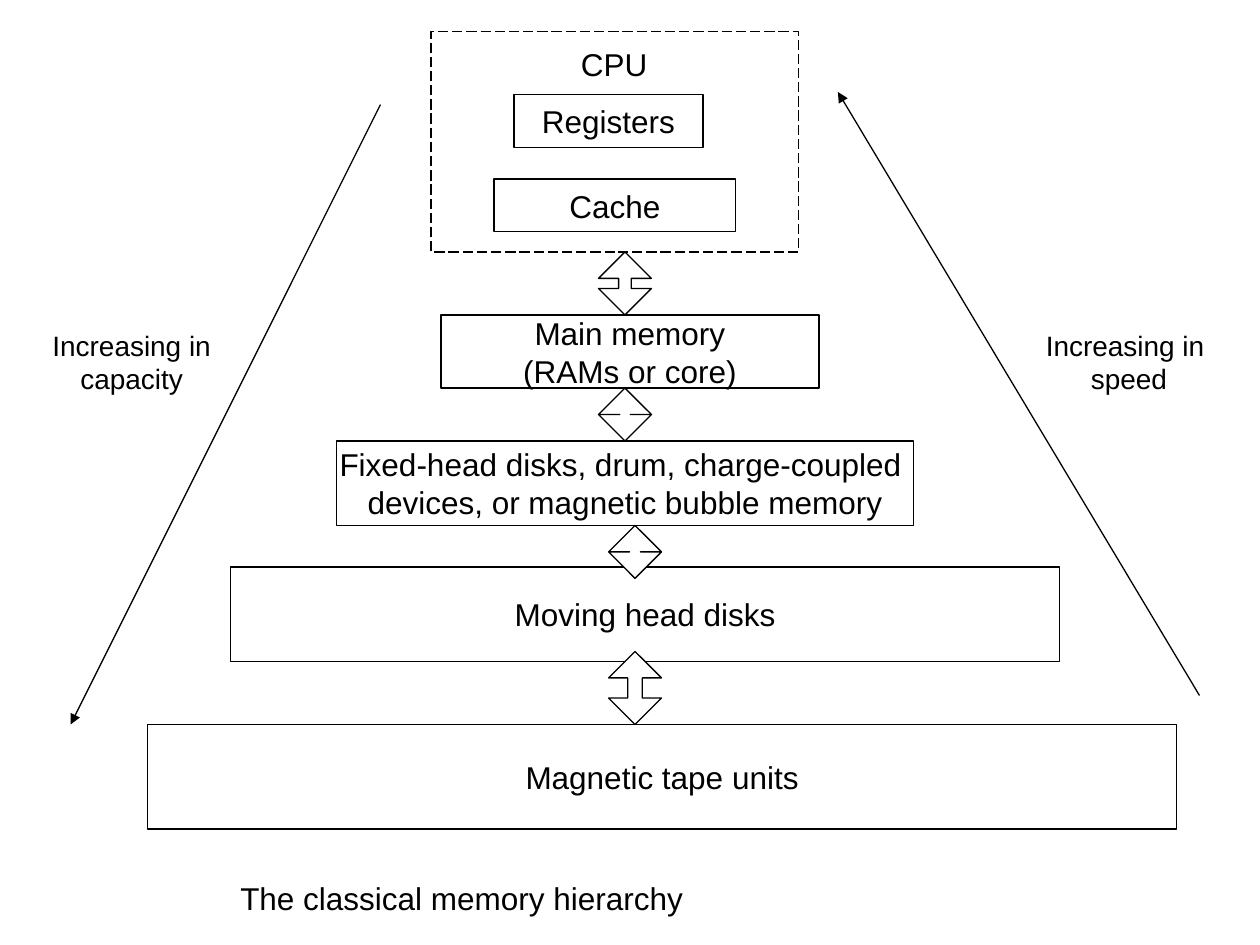
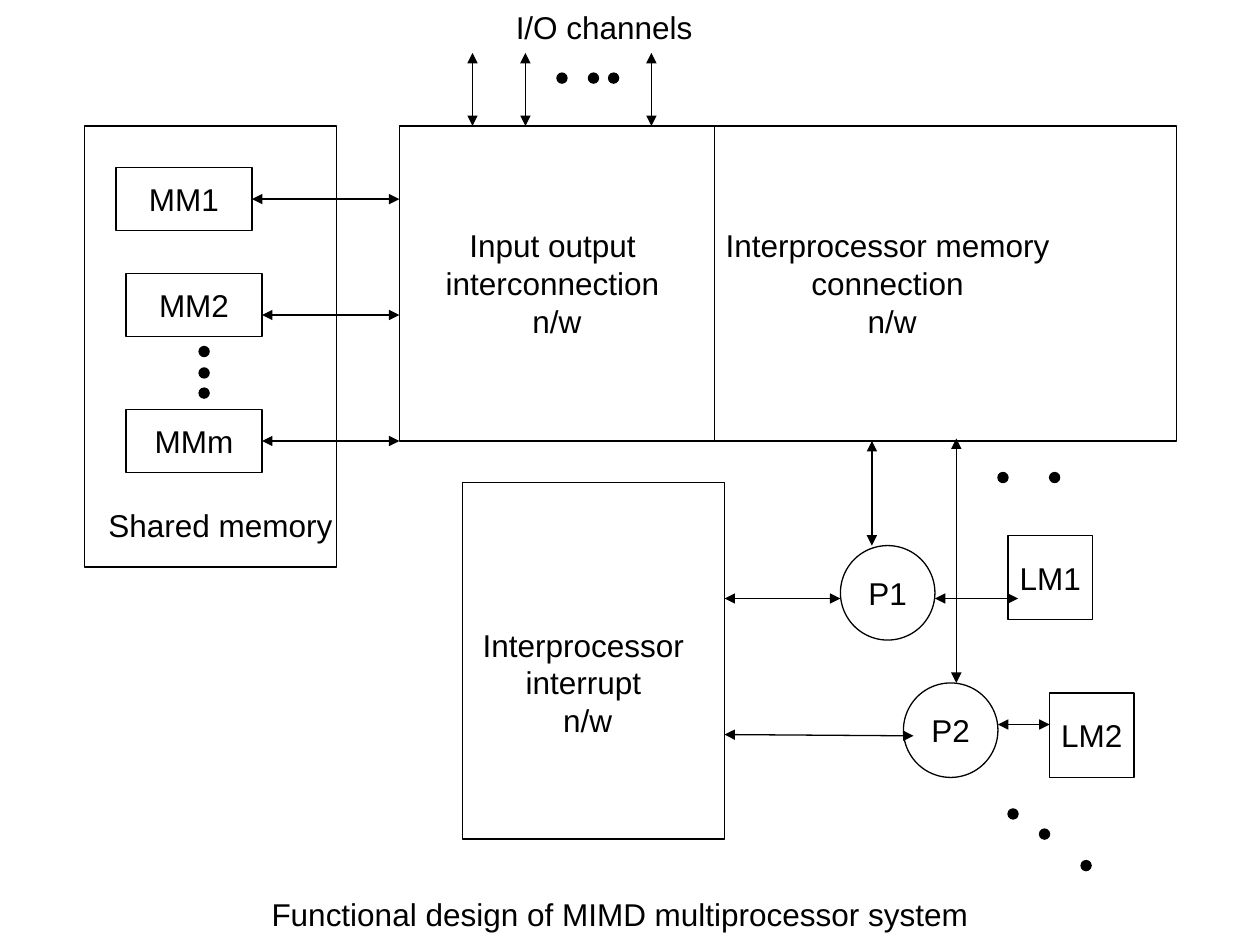
"""Build two diagrams: the memory hierarchy and a MIMD multiprocessor system."""
import dataclasses

import lxml.etree
import pptx
import pptx.dml.color
import pptx.enum.dml
import pptx.enum.shapes
import pptx.enum.text
import pptx.oxml.ns
import pptx.util

Inches = pptx.util.Inches
SHAPES = pptx.enum.shapes.MSO_SHAPE
RIGHT_SIDE = 3


@dataclasses.dataclass(frozen=True)
class Theme:
    """Colours, font, type sizes and line width shared by both slides."""
    ink: pptx.dml.color.RGBColor = pptx.dml.color.RGBColor(0, 0, 0)
    paper: pptx.dml.color.RGBColor = pptx.dml.color.RGBColor(255, 255, 255)
    font: str = "Arial"
    body_size: int = 18
    side_size: int = 16
    line_width: float = 0.75


THEME = Theme()


def style_line(line):
    """Give an outline or connector the shared colour and width."""
    line.color.rgb = THEME.ink
    line.width = pptx.util.Pt(THEME.line_width)


def write_lines(shape, text, size):
    """Centre the text in a shape, one paragraph for each line."""
    frame = shape.text_frame
    frame.text = text
    frame.word_wrap = False
    frame.vertical_anchor = pptx.enum.text.MSO_ANCHOR.MIDDLE
    for para in frame.paragraphs:
        para.alignment = pptx.enum.text.PP_ALIGN.CENTER
        for span in para.runs:
            span.font.name = THEME.font
            span.font.size = pptx.util.Pt(size)
            span.font.color.rgb = THEME.ink


def add_box(page, left, top, width, height, text="", kind=SHAPES.RECTANGLE,
            fill=THEME.paper, outlined=True, size=THEME.body_size):
    """Add a filled shape with an optional outline and centred text."""
    box = page.shapes.add_shape(
        kind, Inches(left), Inches(top), Inches(width), Inches(height))
    box.shadow.inherit = False
    box.fill.solid()
    box.fill.fore_color.rgb = fill
    if outlined:
        style_line(box.line)
    else:
        box.line.fill.background()
    if text:
        write_lines(box, text, size)
    return box


def add_label(page, left, top, width, height, text, size=THEME.body_size):
    """Add text on a plain background without an outline."""
    return add_box(page, left, top, width, height, text, outlined=False, size=size)


def add_circle(page, left, top, text):
    """Add a processor circle."""
    return add_box(page, left, top, 0.75, 0.75, text, SHAPES.OVAL)


def add_dot(page, left, top):
    """Add one dot of an ellipsis."""
    return add_box(page, left, top, 0.08, 0.08,
                   kind=SHAPES.FLOWCHART_CONNECTOR, fill=THEME.ink)


def add_block_arrow(page, left, top, height):
    """Add a two-way block arrow whose heads take a fifth of its height."""
    width = 0.42
    arrow = add_box(page, left, top, width, height, kind=SHAPES.UP_DOWN_ARROW)
    arrow.adjustments[0] = 0.5
    arrow.adjustments[1] = 0.2 * height / width
    return arrow


def add_line(page, start, end, heads=()):
    """Add a straight line with triangles at the named ends."""
    line = page.shapes.add_connector(
        pptx.enum.shapes.MSO_CONNECTOR.STRAIGHT,
        Inches(start[0]), Inches(start[1]), Inches(end[0]), Inches(end[1]))
    style_line(line.line)
    qn = pptx.oxml.ns.qn
    outline = line.line._get_or_add_ln()
    for head in heads:
        lxml.etree.SubElement(outline, qn(f"a:{head}"), type="triangle")
    lxml.etree.SubElement(outline.getparent(), qn("a:effectLst"))
    return line


def add_two_way(page, start, end):
    """Add a line with an arrowhead at each end."""
    return add_line(page, start, end, ("headEnd", "tailEnd"))


def build_hierarchy(page):
    """Draw the memory levels, their links and the two trend arrows."""
    cpu = add_box(page, 3.42, 0.25, 2.92, 1.75)
    cpu.line.dash_style = pptx.enum.dml.MSO_LINE.LONG_DASH
    add_label(page, 4.5, 0.42, 0.75, 0.17, "CPU")

    levels = (
        (4.08, 0.75, 1.5, 0.42, "Registers"),
        (3.92, 1.42, 1.92, 0.42, "Cache"),
        (3.5, 2.5, 3, 0.58, "Main memory\n(RAMs or core)"),
        (2.67, 3.5, 4.58, 0.67, "Fixed-head disks, drum, charge-coupled \n"
                                "devices, or magnetic bubble memory"),
        (1.83, 4.5, 6.58, 0.75, "Moving head disks"),
        (1.17, 5.75, 8.17, 0.83, "Magnetic tape units"),
    )
    for level in levels:
        add_box(page, *level)

    for start, end in (((3.02, 0.83), (0.56, 5.75)), ((9.52, 5.52), (6.65, 0.73))):
        add_line(page, start, end, ("tailEnd",))
    for left, width, text in ((0.42, 1.25, "Increasing in\ncapacity"),
                              (8.17, 1.58, "Increasing in \nspeed")):
        add_label(page, left, 2.58, width, 0.58, text, THEME.side_size)

    for link in ((4.83, 5.17, 0.58), (4.83, 4.17, 0.42),
                 (4.75, 3.08, 0.42), (4.75, 2, 0.5)):
        add_block_arrow(page, *link)
    add_label(page, 0.5, 7, 6.33, 0.25, "The classical memory hierarchy")


def build_multiprocessor(page):
    """Draw the shared memory, networks, processors and local memories."""
    add_box(page, 0.67, 1, 2, 3.5)
    add_label(page, 1, 3.92, 1.5, 0.5, "Shared memory")
    add_box(page, 3.17, 1, 6.17, 2.5)
    add_line(page, (5.67, 1), (5.67, 3.5))
    add_box(page, 3.67, 3.83, 2.08, 2.83)

    modules = (("MM1", 0.92, 1.33, 1.58), ("MM2", 1, 2.17, 2.5), ("MMm", 1, 3.25, 3.5))
    for name, left, top, link_top in modules:
        module = add_box(page, left, top, 1.08, 0.5, name)
        link = add_two_way(page, (left + 1.08, link_top), (3.17, link_top))
        if link_top == top + 0.25:
            link.begin_connect(module, RIGHT_SIDE)

    for channel in (3.75, 4.17, 5.17):
        add_two_way(page, (channel, 0.42), (channel, 1))

    labels = (
        (3.42, 1.83, 2, 0.83, "Input output \ninterconnection \nn/w"),
        (6.08, 1.83, 2, 0.83, "Interprocessor memory \nconnection \nn/w"),
        (3.42, 0, 2.75, 0.42, "I/O channels"),
        (3.75, 5, 1.83, 0.83, "Interprocessor \ninterrupt \nn/w"),
        (1.42, 7, 7, 0.5, "Functional design of MIMD multiprocessor system"),
    )
    for label in labels:
        add_label(page, *label)

    add_circle(page, 6.67, 4.33, "P1")
    add_circle(page, 7.17, 5.42, "P2")
    add_box(page, 8, 4.25, 0.67, 0.67, "LM1")
    add_box(page, 8.33, 5.5, 0.67, 0.67, "LM2")
    processor_links = (
        ((5.75, 4.75), (6.67, 4.75)), ((6.92, 3.5), (6.92, 4.33)),
        ((7.42, 4.75), (8.08, 4.75)), ((5.75, 5.83), (7.25, 5.84)),
        ((7.92, 5.75), (8.33, 5.75)), ((7.59, 5.42), (7.59, 3.48)),
    )
    for start, end in processor_links:
        add_two_way(page, start, end)

    memory_dots = [(1.58, top) for top in (2.75, 2.92, 3.08)]
    channel_dots = [(left, 0.58) for left in (4.42, 4.67, 4.83)]
    link_dots = [(left, 3.75) for left in (7.92, 8.33)]
    processor_dots = [(8, 6.42), (8.25, 6.58), (8.58, 6.83)]
    for left, top in memory_dots + channel_dots + link_dots + processor_dots:
        add_dot(page, left, top)


def main():
    """Build and save the deck."""
    deck = pptx.Presentation()
    deck.slide_width, deck.slide_height = Inches(10), Inches(7.5)
    blank = deck.slide_layouts[6]
    for build in (build_hierarchy, build_multiprocessor):
        build(deck.slides.add_slide(blank))
    deck.save("out.pptx")


if __name__ == "__main__":
    main()
